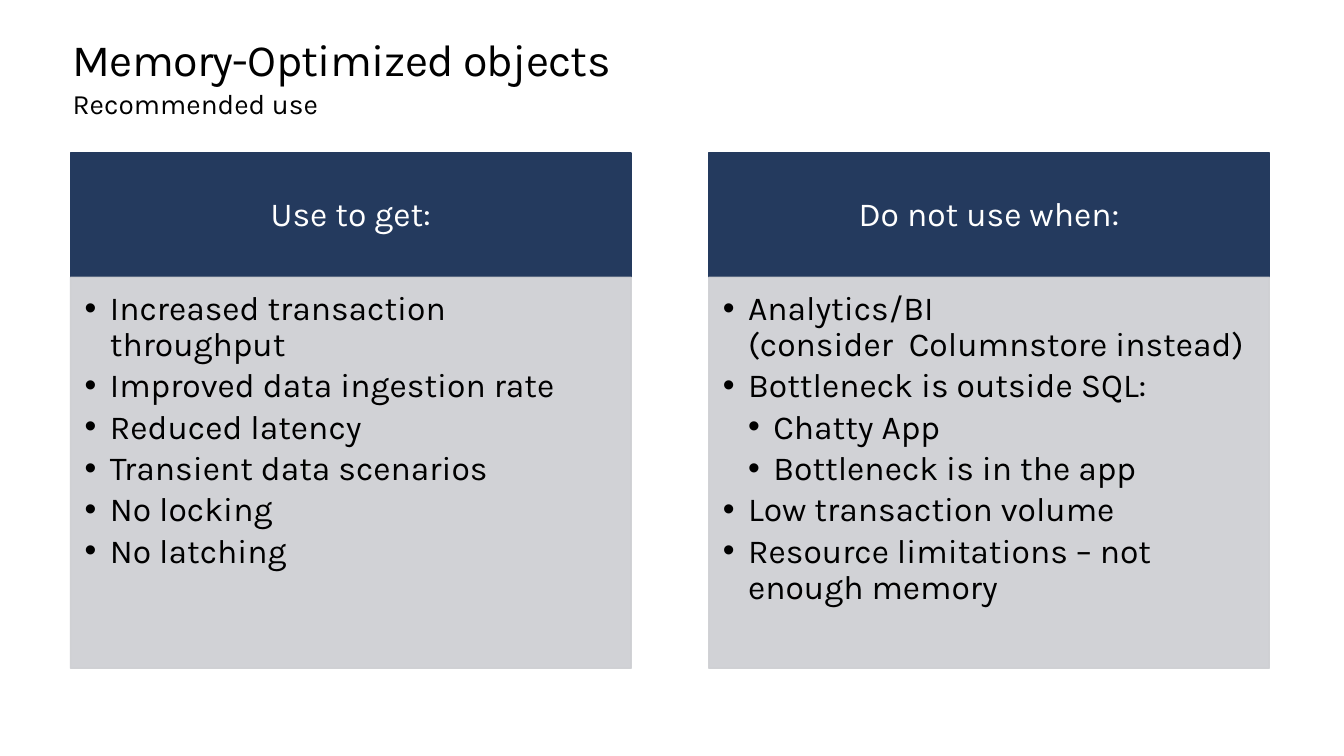
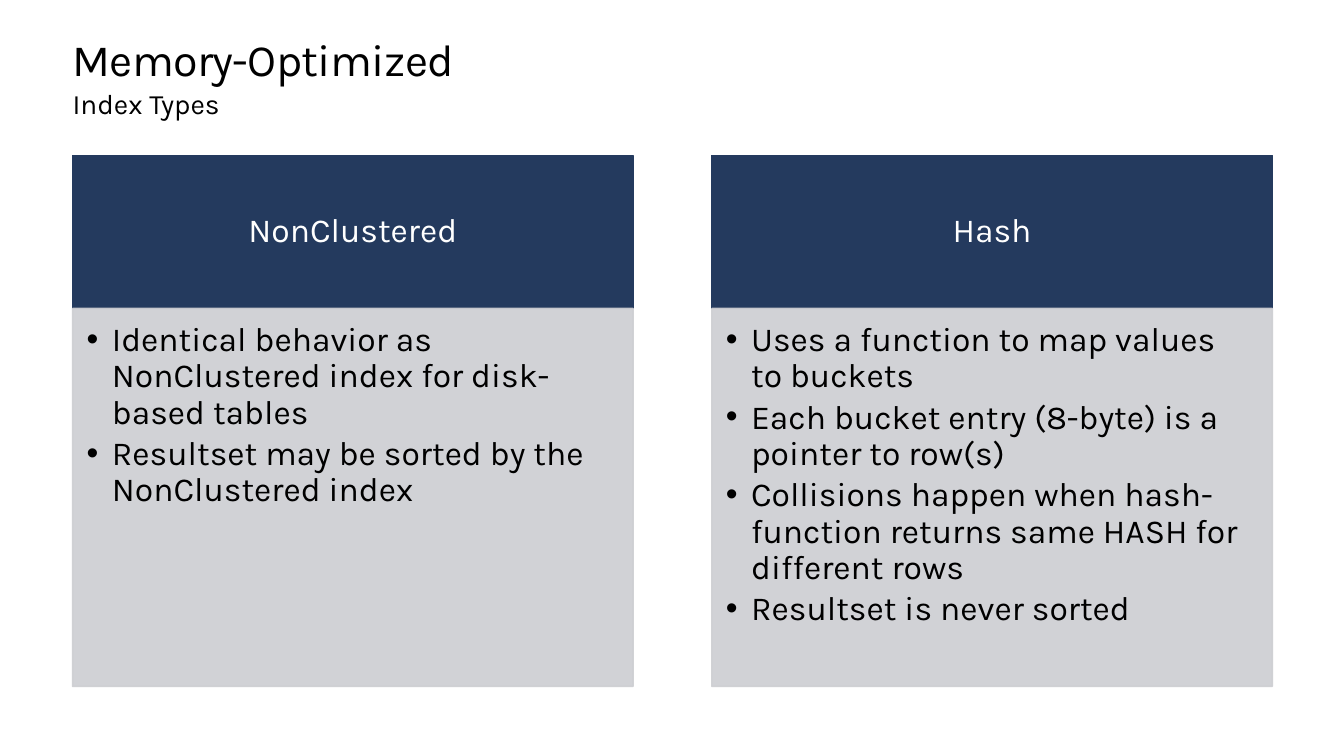
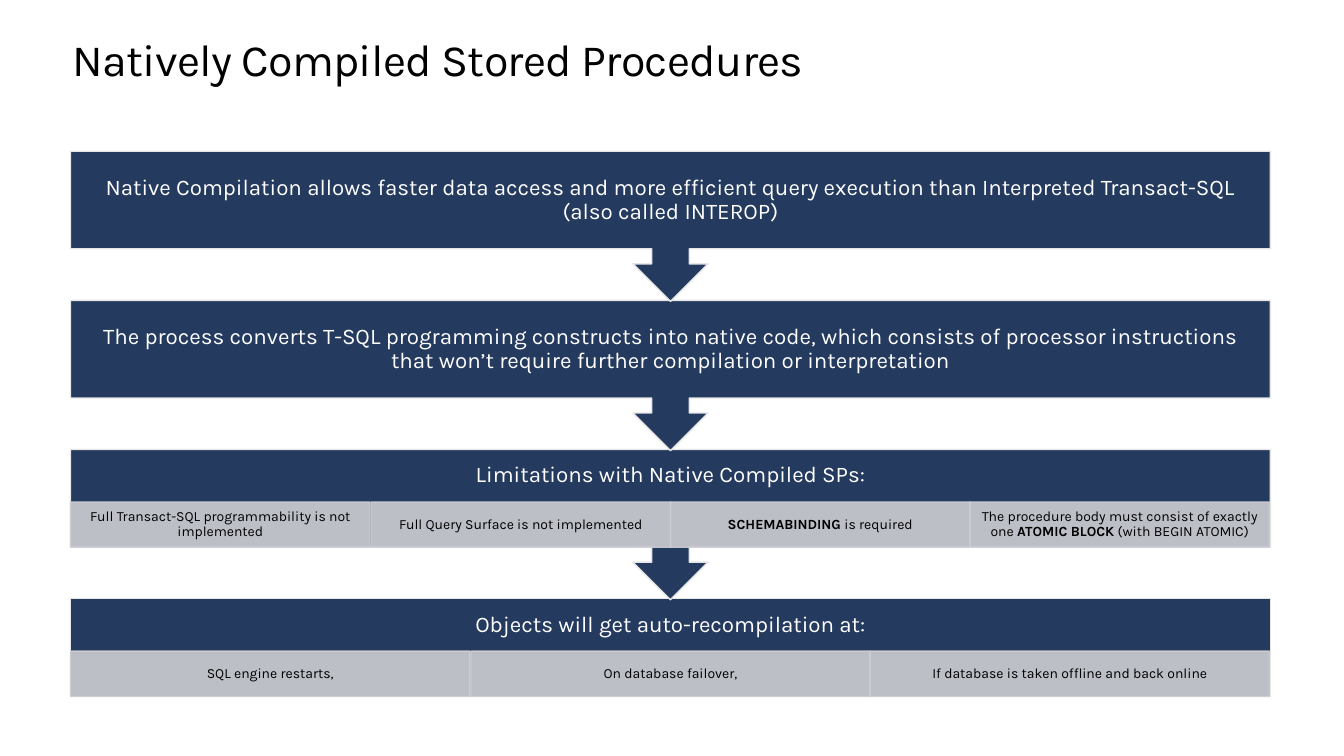
from lxml.etree import SubElement
from pptx import Presentation
from pptx.dml.color import RGBColor
from pptx.enum.shapes import MSO_SHAPE
from pptx.enum.text import MSO_ANCHOR, MSO_AUTO_SIZE, PP_ALIGN
from pptx.oxml.ns import qn
from pptx.util import Emu, Pt

PX = 9144
FONT = "Karla"
COLORS = {"navy": "243A5E", "grey": "CDCED2", "edge": "E6E6E6", "text": "000000", "light": "FFFFFF"}
TITLE_BOX = (72, 35, 1190, 50)
SUBTITLE_BOX = (72, 86, 1190, 50)
HEADING = {"size": 24, "color": "light", "align": PP_ALIGN.CENTER, "spacing": 0.9}
BULLETS = {"size": 24, "color": "text", "align": PP_ALIGN.LEFT, "spacing": 0.9, "after": 3.6}
STEP = {**HEADING, "size": 16}
DETAIL = {**HEADING, "size": 10, "color": "text"}
TITLE = {"size": 32, "color": "text", "align": PP_ALIGN.LEFT, "spacing": Pt(36.2)}
SUBTITLE = {"size": 20, "color": "text", "align": PP_ALIGN.LEFT, "spacing": 1.0}

COMPARISONS = [
    {
        "title": "Memory-Optimized objects",
        "subtitle": "Recommended use",
        "area": (70, 152, 1189, 511),
        "heading_height": 123,
        "panels": [
            ("Use to get:", [
                (1, "Increased transaction throughput"),
                (1, "Improved data ingestion rate"),
                (1, "Reduced latency"),
                (1, "Transient data scenarios"),
                (1, "No locking"),
                (1, "No latching"),
            ]),
            ("Do not use when:", [
                (1, "Analytics/BI \n(consider  Columnstore instead)"),
                (1, "Bottleneck is outside SQL:"),
                (2, "Chatty App"),
                (2, "Bottleneck is in the app"),
                (1, "Low transaction volume"),
                (1, "Resource limitations – not enough memory"),
            ]),
        ],
    },
    {
        "title": "Memory-Optimized",
        "subtitle": "Index Types",
        "area": (72, 154, 1190, 527),
        "heading_height": 152,
        "panels": [
            ("NonClustered", [
                (1, "Identical behavior as NonClustered index for disk-based tables"),
                (1, "Resultset may be sorted by the NonClustered index"),
            ]),
            ("Hash", [
                (1, "Uses a function to map values to buckets"),
                (1, "Each bucket entry (8-byte) is a pointer to row(s)"),
                (1, "Collisions happen when hash-function returns same HASH for different rows"),
                (1, "Resultset is never sorted"),
            ]),
        ],
    },
]

STEPS = [
    ("Native Compilation allows faster data access and more efficient query execution than "
     "Interpreted Transact-SQL (also called INTEROP)", []),
    ("The process converts T-SQL programming constructs into native code, which consists of "
     "processor instructions that won’t require further compilation or interpretation", []),
    ("Limitations with Native Compiled SPs:", [
        "Full Transact-SQL programmability is not implemented",
        "Full Query Surface is not implemented",
        "**SCHEMABINDING **is required",
        "The procedure body must consist of exactly one **ATOMIC BLOCK** (with BEGIN ATOMIC)",
    ]),
    ("Objects will get auto-recompilation at:", [
        "SQL engine restarts,",
        "On database failover,",
        "If database is taken offline and back online",
    ]),
]


def color(name):
    """Return the named colour."""
    return RGBColor.from_string(COLORS[name])


def set_frame(item, insets, anchor):
    """Set insets, anchor and wrapping, and return the text frame."""
    frame = item.text_frame
    values = {"word_wrap": True, "auto_size": MSO_AUTO_SIZE.NONE, "vertical_anchor": anchor}
    sides = ("margin_left", "margin_top", "margin_right", "margin_bottom")
    values.update(zip(sides, (Emu(inset * PX) for inset in insets)))
    for name, value in values.items():
        setattr(frame, name, value)
    return frame


def write(para, text, style):
    """Write text into a paragraph, with ** around bold parts."""
    values = {"alignment": style["align"], "line_spacing": style["spacing"],
              "space_before": Pt(0), "space_after": Pt(style.get("after", 0))}
    for name, value in values.items():
        setattr(para, name, value)
    for part_index, part in enumerate(text.split("**")):
        for line_index, line in enumerate(part.split("\n")):
            if line_index:
                para.add_line_break()
            if not line:
                continue
            span = para.add_run()
            span.text = line
            font = {"name": FONT, "size": Pt(style["size"]), "bold": part_index % 2 == 1}
            for name, value in font.items():
                setattr(span.font, name, value)
            span.font.color.rgb = color(style["color"])


def add_bullet(para, level):
    """Give a paragraph a hanging bullet at its level."""
    properties = para._p.get_or_add_pPr()
    properties.set("marL", str(level * 25 * PX))
    properties.set("indent", str(-25 * PX))
    SubElement(properties, qn("a:buFont")).set("typeface", "Arial")
    SubElement(properties, qn("a:buChar")).set("char", "•")


def add_block(page, box, fill, line, kind=MSO_SHAPE.RECTANGLE, opacity=100):
    """Add a filled and outlined shape."""
    shape = page.shapes.add_shape(kind, *(Emu(length * PX) for length in box))
    shape.shadow.inherit = False
    shape.fill.solid()
    shape.fill.fore_color.rgb = color(fill)
    shape.line.color.rgb = color(line)
    shape.line.width = Pt(1)
    if opacity < 100:
        for tint in list(shape._element.spPr.iter(qn("a:srgbClr"))):
            SubElement(tint, qn("a:alpha")).set("val", str(opacity * 1000))
    return shape


def add_page(deck, title, subtitle=None):
    """Add a slide with its title and optional subtitle."""
    page = deck.slides.add_slide(deck.slide_layouts[5])
    heading = page.shapes.title
    for name, length in zip(("left", "top", "width", "height"), TITLE_BOX):
        setattr(heading, name, Emu(length * PX))
    write(set_frame(heading, (0, 0, 0, 0), MSO_ANCHOR.TOP).paragraphs[0], title, TITLE)
    for span in heading.text_frame.paragraphs[0].runs:
        span._r.get_or_add_rPr().set("spc", "-50")
    if subtitle:
        box = page.shapes.add_textbox(*(Emu(length * PX) for length in SUBTITLE_BOX))
        write(set_frame(box, (0, 0, 0, 0), MSO_ANCHOR.TOP).paragraphs[0], subtitle, SUBTITLE)
    return page


def add_panel(page, box, heading_height, heading, items):
    """Add a heading band above a bulleted list."""
    left, top, width, height = box
    band = add_block(page, (left, top, width, heading_height), "navy", "navy")
    write(set_frame(band, (19, 11, 19, 11), MSO_ANCHOR.MIDDLE).paragraphs[0], heading, HEADING)
    body_box = (left, top + heading_height, width, height - heading_height)
    body = add_block(page, body_box, "grey", "grey", opacity=90)
    frame = set_frame(body, (14, 14, 19, 21), MSO_ANCHOR.TOP)
    for index, (level, text) in enumerate(items):
        para = frame.add_paragraph() if index else frame.paragraphs[0]
        add_bullet(para, level)
        write(para, text, BULLETS)


def add_comparison(deck, content):
    """Add a slide with panels side by side."""
    page = add_page(deck, content["title"], content["subtitle"])
    left, top, width, height = content["area"]
    panel_width = 556
    pitch = (width - panel_width) // (len(content["panels"]) - 1)
    for index, (heading, items) in enumerate(content["panels"]):
        box = (left + index * pitch, top, panel_width, height)
        add_panel(page, box, content["heading_height"], heading, items)


def add_step(page, box, text, details, is_last):
    """Add one process step with its row of details."""
    left, top, width, height = box
    detail_height = 45 if details else 0
    kind = MSO_SHAPE.RECTANGLE if is_last else MSO_SHAPE.DOWN_ARROW_CALLOUT
    shape_box = (left, top, width, height if is_last else height + 52)
    shape = add_block(page, shape_box, "navy", "edge", kind)
    frame = set_frame(shape, (12, 12, 12, 12 + detail_height), MSO_ANCHOR.MIDDLE)
    write(frame.paragraphs[0], text, STEP)
    for index, detail in enumerate(details):
        start = left + round(index * width / len(details))
        cell_box = (start, top + height - detail_height, width // len(details), detail_height)
        cell = add_block(page, cell_box, "grey", "grey", opacity=90)
        write(set_frame(cell, (8, 1, 8, 1), MSO_ANCHOR.MIDDLE).paragraphs[0], detail, DETAIL)


def add_process(deck, title, steps, area=(70, 150, 1190, 541)):
    """Add a slide of steps, stacked so that each arrow covers the next step."""
    page = add_page(deck, title)
    left, top, width, height = area
    step_height = 97
    pitch = (height - step_height) // (len(steps) - 1)
    last = len(steps) - 1
    for index, (text, details) in reversed(list(enumerate(steps))):
        box = (left, top + index * pitch, width, step_height)
        add_step(page, box, text, details, index == last)


def main():
    """Build and save the deck."""
    deck = Presentation()
    deck.slide_width, deck.slide_height = Emu(1333 * PX), Emu(750 * PX)
    for content in COMPARISONS:
        add_comparison(deck, content)
    add_process(deck, "Natively Compiled Stored Procedures", STEPS)
    deck.save("out.pptx")


if __name__ == "__main__":
    main()
